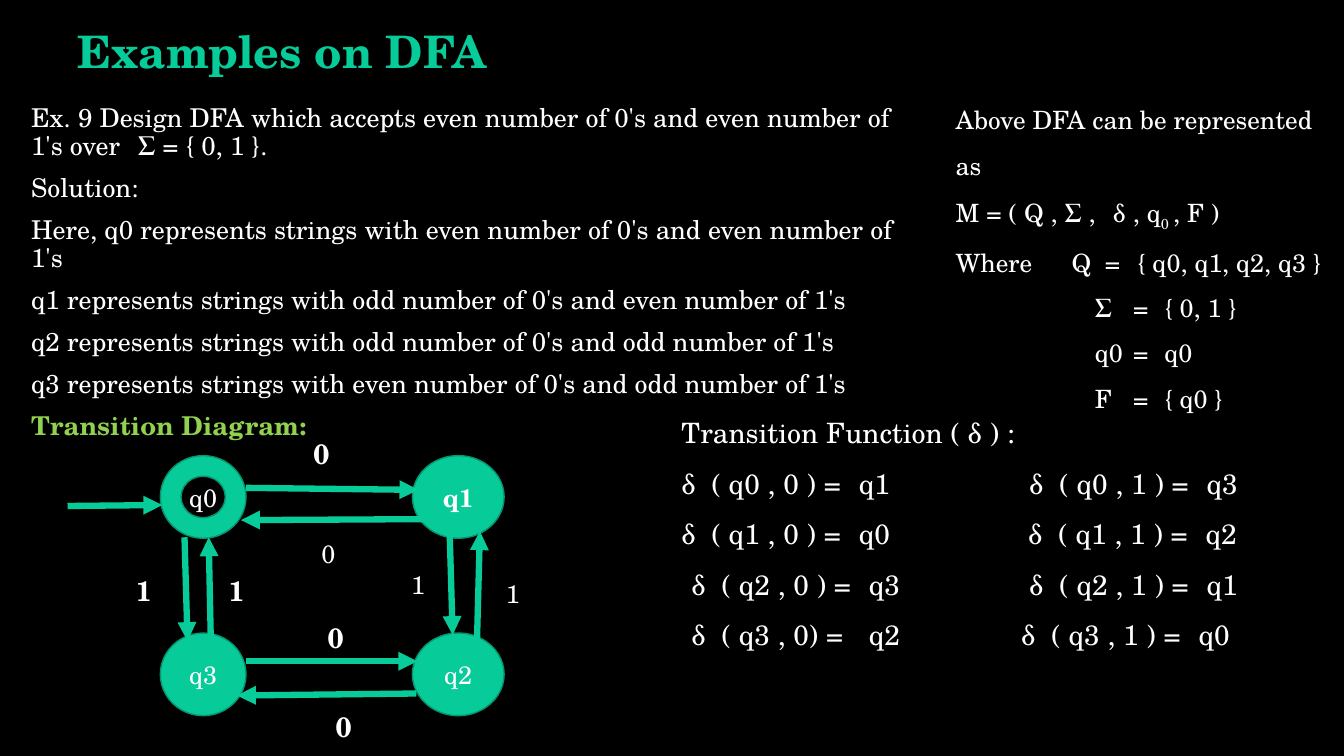
from lxml import etree
from pptx import Presentation
from pptx.dml.color import RGBColor
from pptx.enum.shapes import MSO_CONNECTOR, MSO_SHAPE
from pptx.enum.text import MSO_ANCHOR, PP_ALIGN
from pptx.oxml.ns import qn
from pptx.util import Inches, Pt

STRAIGHT = MSO_CONNECTOR.STRAIGHT
OVAL, DONUT = MSO_SHAPE.OVAL, MSO_SHAPE.DONUT
TOP, MIDDLE, BOTTOM = MSO_ANCHOR.TOP, MSO_ANCHOR.MIDDLE, MSO_ANCHOR.BOTTOM
CENTER = PP_ALIGN.CENTER

FONT = "TeX Gyre Schola"
BLACK, WHITE, TEAL, DARK_TEAL, LIME = "000000", "FFFFFF", "07CB98", "059670", "92D050"

# A paragraph is (runs, tab stops); a run is (text, format values).
TITLE = [([("Examples on DFA", {"bold": True, "color": TEAL})], [])]
PROBLEM = [
    ([("Ex. 9 Design DFA which accepts even number of 0's and even number of "
       "1's over\tΣ = { 0, 1 }.", {})], [1.06]),
    ([("Solution:", {})], []),
    ([("Here, q0 represents strings with even number of 0's and even number of 1's", {})], []),
    ([("q1 represents strings with odd number of 0's and even number of 1's", {})], []),
    ([("q2 represents strings with odd number of 0's and odd number of 1's", {})], []),
    ([("q3 represents strings with even number of 0's and odd number of 1's", {})], []),
    ([("Transition Diagram:", {"bold": True, "color": LIME})], []),
]
SYMBOL_TABS = [1.38, 1.76, 2.07]
DEFINITION = [
    ([("Above DFA can be represented as", {})], []),
    ([("M = ( Q , Σ ,\tδ , q", {}), ("0 ", {"baseline": -25000}), (", F )", {})], [1.56]),
    ([("Where\tQ\t=\t{ q0, q1, q2, q3 }", {})], [1.15, 1.48, 1.8]),
    ([("\tΣ\t=\t{ 0, 1 }", {})], SYMBOL_TABS),
    ([("\tq0\t=\tq0", {})], SYMBOL_TABS),
    ([("\tF\t=\t{ q0 }", {})], SYMBOL_TABS),
]
FUNCTION_HEADING = "Transition Function ( δ ) :"
# (call on 0, result, call on 1, result, start of left half, start of right half)
TRANSITIONS = [
    ("( q0 , 0 ) =", "q1", "( q0 , 1 ) =", "q3", 0, 3.45),
    ("( q1 , 0 ) =", "q0", "( q1 , 1 ) =", "q2", 0, 3.44),
    ("( q2 , 0 ) =", "q3", "( q2 , 1 ) =", "q1", 0.1, 3.45),
    ("( q3 , 0) =", "q2", "( q3 , 1 ) =", "q0", 0.1, 3.37),
]
CALL_OFFSET, RESULT_OFFSET = 0.3, 1.76

# Diagram grid: (left, width) of columns, top of rows
COLUMNS = [(1.59, 0.85), (4.09, 0.91)]
ROWS = [4.52, 6.28]
STATE_HEIGHT = 0.82
STATES = [  # name, column, row, shape, bold
    ("q0", 0, 0, DONUT, False),
    ("q1", 1, 0, OVAL, True),
    ("q2", 1, 1, OVAL, False),
    ("q3", 0, 1, OVAL, False),
]
ARROWS = [  # start x, start y, end x, end y
    (0.67, 5.02, 1.61, 5.01),
    (2.44, 4.84, 4.15, 4.86),
    (4.23, 5.15, 2.39, 5.16),
    (1.83, 5.33, 1.86, 6.36),
    (2.09, 6.3, 2.07, 5.33),
    (2.44, 6.56, 4.14, 6.56),
    (4.13, 6.88, 2.35, 6.9),
    (4.46, 5.29, 4.49, 6.3),
    (4.73, 6.39, 4.76, 5.27),
]
LABELS = [  # text, left, top, size, bold
    ("0", 3.01, 4.28, 20, True),
    ("0", 3.09, 5.29, 18, False),
    ("1", 1.25, 5.64, 20, True),
    ("1", 2.17, 5.64, 20, True),
    ("0", 3.15, 6.11, 20, True),
    ("0", 3.23, 6.99, 20, True),
    ("1", 3.98, 5.6, 18, False),
    ("1", 4.92, 5.69, 18, False),
]


def rgb(value):
    return RGBColor.from_string(value)


def format_run(run, size, color=WHITE, bold=False, baseline=None):
    for name, value in {"name": FONT, "size": Pt(size), "bold": bold}.items():
        setattr(run.font, name, value)
    run.font.color.rgb = rgb(color)
    if baseline is not None:
        run._r.get_or_add_rPr().set("baseline", str(baseline))


def set_tabs(paragraph, stops):
    tab_list = etree.SubElement(paragraph._p.get_or_add_pPr(), qn("a:tabLst"))
    for stop in stops:
        etree.SubElement(tab_list, qn("a:tab"), pos=str(Inches(stop)), algn="l")


def fill_frame(frame, paragraphs, size, anchor=TOP, **paragraph_format):
    frame.word_wrap = True
    frame.vertical_anchor = anchor
    for index, (runs, stops) in enumerate(paragraphs):
        paragraph = frame.paragraphs[0] if index == 0 else frame.add_paragraph()
        for name, value in paragraph_format.items():
            setattr(paragraph, name, value)
        if stops:
            set_tabs(paragraph, stops)
        for text, run_format in runs:
            run = paragraph.add_run()
            run.text = text
            format_run(run, size, **run_format)


def add_text(slide, box, paragraphs, size, **layout):
    shape = slide.shapes.add_textbox(*map(Inches, box))
    fill_frame(shape.text_frame, paragraphs, size, **layout)


def add_state(slide, name, column, row, kind, bold):
    left, width = COLUMNS[column]
    box = (left, ROWS[row], width, STATE_HEIGHT)
    shape = slide.shapes.add_shape(kind, *map(Inches, box))
    shape.shadow.inherit = False
    shape.fill.solid()
    shape.fill.fore_color.rgb = rgb(TEAL)
    shape.line.color.rgb = rgb(DARK_TEAL)
    shape.line.width = Pt(1)
    fill_frame(shape.text_frame, [([(name, {"bold": bold})], [])], 18,
               anchor=MIDDLE, alignment=CENTER)


def add_arrow(slide, ends):
    connector = slide.shapes.add_connector(STRAIGHT, *map(Inches, ends))
    connector.line.color.rgb = rgb(TEAL)
    connector.line.width = Pt(4.5)
    etree.SubElement(connector.line._get_or_add_ln(), qn("a:tailEnd"), type="triangle")
    etree.SubElement(connector._element.spPr, qn("a:effectLst"))


def transition_paragraph(call_0, result_0, call_1, result_1, left, right):
    """Lay out one pair of transitions on tab stops counted from each half's start."""
    indent = "\t" if left else ""
    text = indent + "\t".join(["δ", call_0, result_0, "δ", call_1, result_1])
    stops = [left] if left else []
    stops += [left + CALL_OFFSET, left + RESULT_OFFSET,
              right, right + CALL_OFFSET, right + RESULT_OFFSET]
    return [(text, {})], stops


def main():
    presentation = Presentation()
    presentation.slide_width, presentation.slide_height = Inches(13.33), Inches(7.5)
    slide = presentation.slides.add_slide(presentation.slide_layouts[6])
    slide.background.fill.solid()
    slide.background.fill.fore_color.rgb = rgb(BLACK)

    functions = [([(FUNCTION_HEADING, {})], [])]
    functions += [transition_paragraph(*row) for row in TRANSITIONS]

    add_text(slide, (0.67, 0.16, 10.57, 0.67), TITLE, 32, anchor=BOTTOM, line_spacing=0.9)
    add_text(slide, (0.21, 0.99, 8.98, 3.29), PROBLEM, 18.5,
             line_spacing=0.9, space_before=Pt(10))
    add_text(slide, (9.38, 0.84, 4.05, 2.77), DEFINITION, 18, line_spacing=1.5)
    add_text(slide, (6.66, 3.91, 6.16, 2.56), functions, 20, line_spacing=1.5)

    for state in STATES:
        add_state(slide, *state)
    for ends in ARROWS:
        add_arrow(slide, ends)
    for text, left, top, size, bold in LABELS:
        add_text(slide, (left, top, 0.38, 0.42), [([(text, {"bold": bold})], [])], size)

    presentation.save("out.pptx")


if __name__ == "__main__":
    main()
